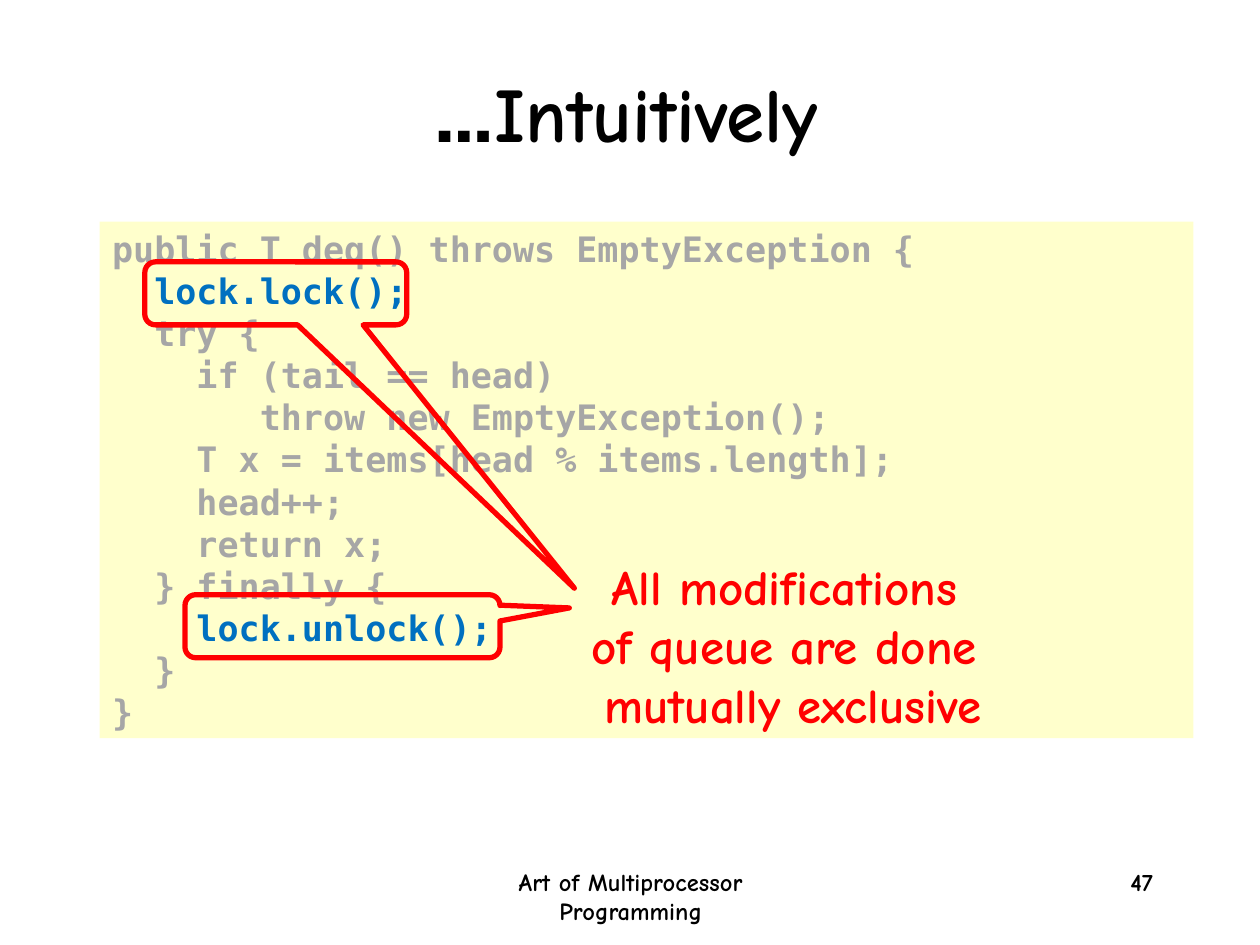
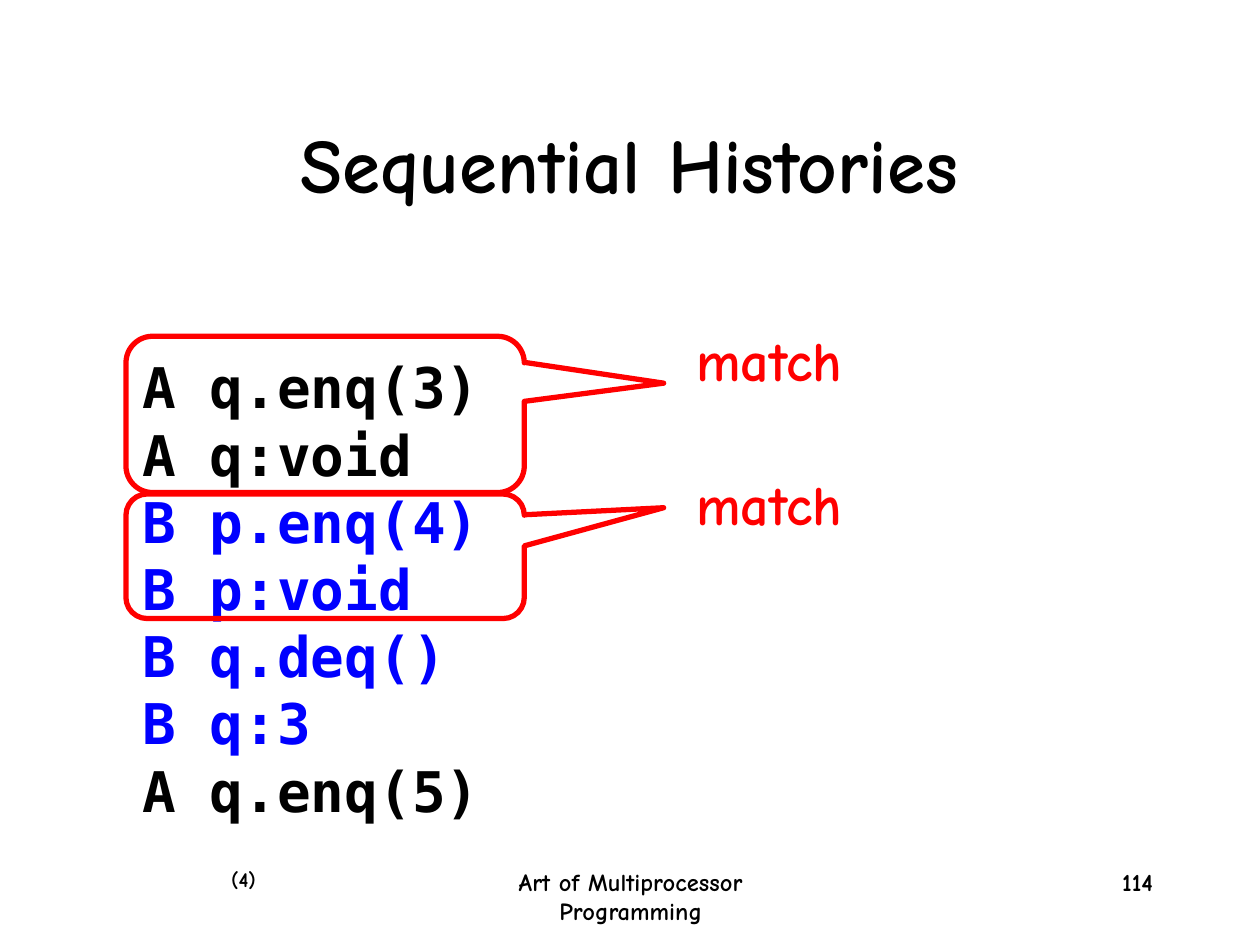
"""Build two slides on mutual exclusion and sequential histories."""
from dataclasses import dataclass

from pptx import Presentation
from pptx.dml.color import RGBColor
from pptx.enum.shapes import MSO_SHAPE as Shp
from pptx.enum.text import MSO_ANCHOR as Anchor, PP_ALIGN as Align
from pptx.slide import Slide
from pptx.util import Cm, Pt

COLORS = {
    "black": "000000", "red": "FF0000", "gray": "A6A6A6",
    "lock": "0070C0", "blue": "0000FF", "panel": "FFFFCC",
}
SANS, MONO = "Comic Neue", "DejaVu Sans Mono"
FOOTER = "Art of Multiprocessor Programming"

DEQ_CODE = [
    ("public T deq() throws EmptyException {", "gray"),
    ("  lock.lock();", "lock"),
    ("  try {", "gray"),
    ("    if (tail == head)", "gray"),
    ("       throw new EmptyException();", "gray"),
    ("    T x = items[head % items.length];", "gray"),
    ("    head++;", "gray"),
    ("    return x;", "gray"),
    ("  } finally {", "gray"),
    ("    lock.unlock();", "lock"),
    ("  }", "gray"),
    ("}", "gray"),
]
HISTORY = [
    ("A q.enq(3)", "black"),
    ("A q:void", "black"),
    ("B p.enq(4)", "blue"),
    ("B p:void", "blue"),
    ("B q.deq()", "blue"),
    ("B q:3", "blue"),
    ("A q.enq(5)", "black"),
]


@dataclass(frozen=True)
class Box:
    left: float
    top: float
    width: float
    height: float

    def lengths(self) -> list[Cm]:
        return [Cm(v) for v in (self.left, self.top, self.width, self.height)]


@dataclass(frozen=True)
class Label:
    box: Box
    lines: list[tuple[str, str]]
    size: int
    font: str = SANS
    align: Align = Align.LEFT
    wrap: bool = True
    anchor: Anchor = Anchor.TOP
    fill: str | None = None
    rtl: bool = False


@dataclass(frozen=True)
class Callout:
    box: Box
    tip_x: float
    tip_y: float


def rgb(name: str) -> RGBColor:
    return RGBColor.from_string(COLORS[name])


def add_label(s: Slide, label: Label) -> None:
    if label.fill:
        sp = s.shapes.add_shape(Shp.RECTANGLE, *label.box.lengths())
        sp.shadow.inherit = False
        sp.fill.solid()
        sp.fill.fore_color.rgb = rgb(label.fill)
        sp.line.fill.background()
    else:
        sp = s.shapes.add_textbox(*label.box.lengths())
    tf = sp.text_frame
    tf.word_wrap = label.wrap
    tf.vertical_anchor = label.anchor
    fmt = {"name": label.font, "size": Pt(label.size), "bold": True}
    for i, (text, color) in enumerate(label.lines):
        p = tf.add_paragraph() if i else tf.paragraphs[0]
        p.alignment = label.align
        if label.rtl:
            p._p.get_or_add_pPr().set("rtl", "1")
        r = p.add_run()
        r.text = text
        for key, value in fmt.items():
            setattr(r.font, key, value)
        r.font.color.rgb = rgb(color)


def add_callout(s: Slide, callout: Callout) -> None:
    sp = s.shapes.add_shape(Shp.ROUNDED_RECTANGULAR_CALLOUT, *callout.box.lengths())
    sp.shadow.inherit = False
    sp.fill.background()
    sp.line.color.rgb = rgb("red")
    sp.line.width = Pt(3)
    for i, value in enumerate((callout.tip_x, callout.tip_y, 0.17)):
        sp.adjustments[i] = value


def add_base(prs: Presentation, title: str, left: float, top: float, number: int) -> Slide:
    s = prs.slides.add_slide(prs.slide_layouts[6])
    add_label(s, Label(Box(8.69, 17.35, 8.05, 1.27), [(FOOTER, "black")], 14,
                       align=Align.CENTER))
    add_label(s, Label(Box(18.21, 17.35, 5.28, 1.27), [(str(number), "black")], 14,
                       align=Align.RIGHT))
    add_label(s, Label(Box(left, top, 21.59, 3.18), [(title, "black")], 44,
                       align=Align.CENTER, anchor=Anchor.MIDDLE, rtl=True))
    return s


def build_intuition(prs: Presentation) -> None:
    s = add_base(prs, "Intuitively…", 1.85, 0.66, 47)
    add_label(s, Label(Box(2.01, 4.47, 22.05, 10.41), DEQ_CODE, 20, MONO, fill="panel"))
    add_callout(s, Callout(Box(2.92, 5.28, 5.28, 1.27), 1.14, 4.68))
    note = ["All modifications ", "of queue are done ", "mutually exclusive"]
    add_label(s, Label(Box(10.69, 11.1, 10.59, 3.81), [(line, "red") for line in note],
                       28, align=Align.CENTER))
    add_callout(s, Callout(Box(3.73, 11.99, 6.35, 1.27), 0.72, -0.29))


def build_histories(prs: Presentation) -> None:
    s = add_base(prs, "Sequential Histories", 1.9, 1.7, 114)
    add_label(s, Label(Box(2.62, 6.99, 7.75, 9.75), HISTORY, 32, MONO))
    matches = [
        (Callout(Box(2.54, 6.78, 8.03, 3.15), 0.85, -0.2), 6.43),
        (Callout(Box(2.54, 9.96, 8.03, 2.51), 0.85, -0.39), 9.35),
    ]
    for callout, top in matches:
        add_callout(s, callout)
        add_label(s, Label(Box(13.75, top, 3.48, 1.63), [("match", "red")], 32,
                           align=Align.RIGHT, wrap=False))
    add_label(s, Label(Box(4.26, 17.35, 1.15, 0.76), [("(4)", "black")], 12,
                       align=Align.RIGHT, wrap=False))


def main() -> None:
    prs = Presentation()
    prs.slide_width, prs.slide_height = Cm(25.4), Cm(19.05)
    build_intuition(prs)
    build_histories(prs)
    prs.save("out.pptx")


if __name__ == "__main__":
    main()
